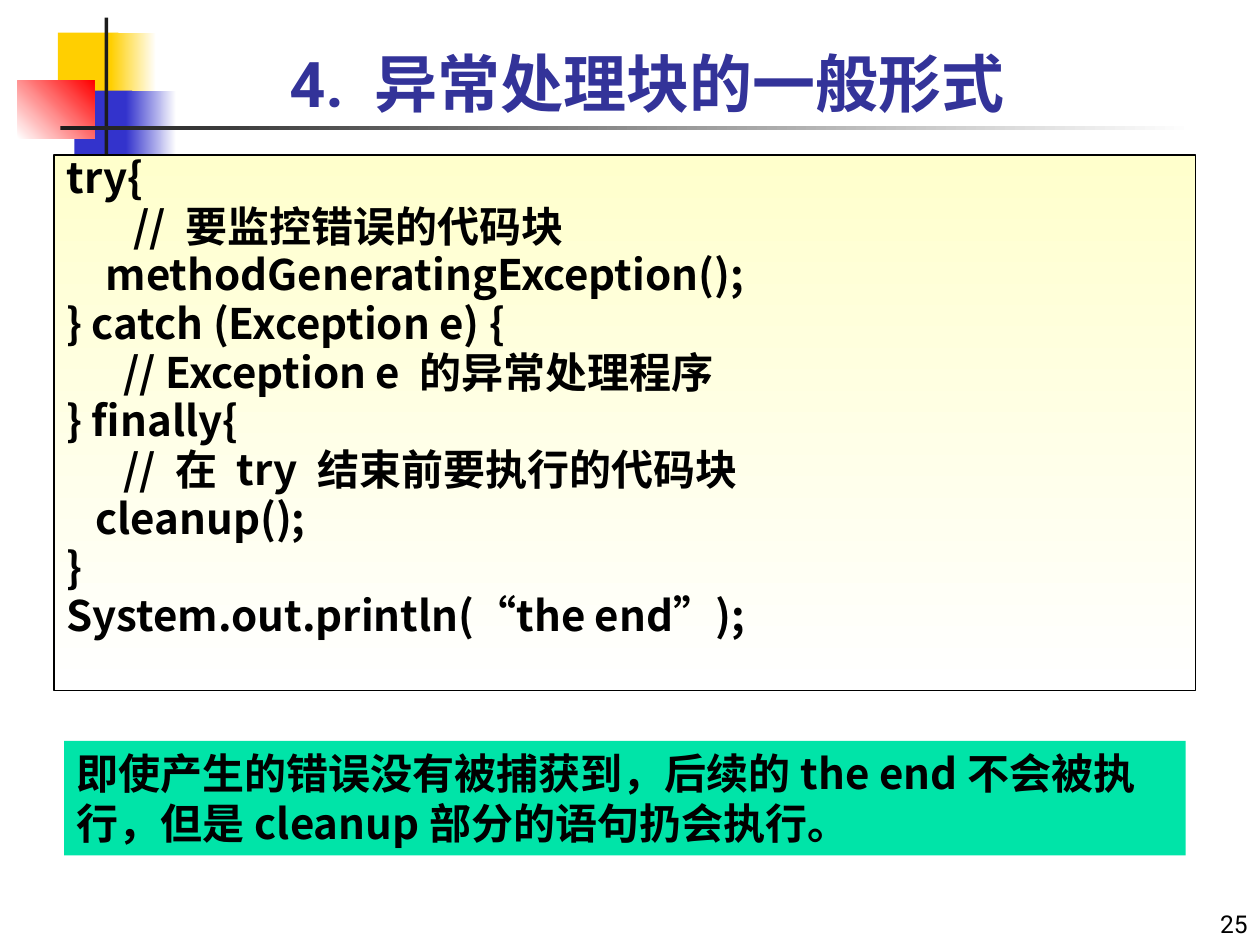
from dataclasses import dataclass
from typing import Optional

from lxml.etree import SubElement
from pptx import Presentation
from pptx.dml.color import RGBColor
from pptx.enum.shapes import MSO_SHAPE as Shape
from pptx.enum.text import MSO_ANCHOR as Anchor, PP_ALIGN as Align
from pptx.oxml.ns import qn
from pptx.util import Inches, Pt

CJK = "Noto Sans CJK SC"
LATIN = "Roboto"
WHITE, BLACK, GRAY, BLUE, GOLD = "FFFFFF", "000000", "1C1C1C", "3333CC", "FFCF01"


@dataclass
class Box:
    left: float
    top: float
    width: float
    height: float
    color: str
    end: Optional[str] = None
    angle: int = 0


@dataclass
class Line:
    text: str
    indent: float = 0


@dataclass
class Style:
    size: int
    font: str = CJK
    color: str = BLACK
    bold: bool = True
    align: Align = Align.LEFT
    anchor: Anchor = Anchor.TOP
    spacing: float = 1.0
    before: float = 0


DECOR = [
    Box(0.46, 0.26, 0.48, 0.52, GOLD),
    Box(0.88, 0.26, 0.36, 0.52, GOLD, WHITE),
    Box(0.59, 0.72, 0.46, 0.52, BLUE),
    Box(1, 0.72, 0.4, 0.52, BLUE, WHITE),
    Box(0.14, 0.64, 0.61, 0.46, WHITE, "FF0000", 45),
    Box(0.83, 0.14, 0.03, 1.15, GRAY),
    Box(0.48, 1, 9, 0.03, GRAY, WHITE),
]

CODE = [
    Line("try{"),
    Line("// 要监控错误的代码块", 0.53),
    Line("methodGeneratingException();", 0.31),
    Line("} catch (Exception e) {"),
    Line("// Exception e 的异常处理程序", 0.45),
    Line("} finally{"),
    Line("// 在 try 结束前要执行的代码块", 0.45),
    Line("cleanup();", 0.23),
    Line("}"),
    Line("System.out.println(“the end”);"),
]


def rgb(color: str) -> RGBColor:
    return RGBColor.from_string(color)


def add_box(s, box: Box):
    sp = s.shapes.add_shape(Shape.RECTANGLE, Inches(box.left), Inches(box.top),
                            Inches(box.width), Inches(box.height))
    sp.shadow.inherit = False
    sp.line.fill.background()
    if box.end is None:
        sp.fill.solid()
        sp.fill.fore_color.rgb = rgb(box.color)
    else:
        sp.fill.gradient()
        sp.fill.gradient_angle = box.angle
        for stop, color, position in zip(sp.fill.gradient_stops, (box.color, box.end), (0, 1)):
            stop.color.rgb = rgb(color)
            stop.position = position
    return sp


def add_text(s, left: float, top: float, width: float, height: float):
    return s.shapes.add_textbox(Inches(left), Inches(top), Inches(width), Inches(height))


def write(sp, lines: list[Line], style: Style) -> None:
    tf = sp.text_frame
    tf.word_wrap = True
    tf.vertical_anchor = style.anchor
    for i, line in enumerate(lines):
        p = tf.add_paragraph() if i else tf.paragraphs[0]
        p.text = line.text
        p.alignment = style.align
        p.line_spacing = style.spacing
        p.space_before = Pt(style.before)
        p.font.size = Pt(style.size)
        p.font.bold = style.bold
        p.font.color.rgb = rgb(style.color)
        p.font.name = style.font
        pPr = p._p.get_or_add_pPr()
        pPr.set("marL", str(Inches(line.indent)))
        SubElement(pPr.find(qn("a:defRPr")), qn("a:ea"), typeface=CJK)


def main() -> None:
    prs = Presentation()
    prs.slide_width, prs.slide_height = Inches(10), Inches(7.5)
    s = prs.slides.add_slide(prs.slide_layouts[6])

    for box in DECOR:
        add_box(s, box)

    number = add_text(s, 4.29, 7.14, 5.71, 0.36)
    write(number, [Line("25")],
          Style(14, LATIN, bold=False, align=Align.RIGHT, anchor=Anchor.BOTTOM))

    title = add_text(s, 0.51, 0.05, 9.25, 0.95)
    write(title, [Line("4. 异常处理块的一般形式")],
          Style(36, LATIN, "333399", align=Align.CENTER, anchor=Anchor.BOTTOM))

    code = add_box(s, Box(0.43, 1.23, 9.06, 4.25, "FFFFCC", WHITE, 270))
    code.line.color.rgb = rgb(BLACK)
    code.line.width = Pt(0.75)
    write(code, CODE, Style(24, spacing=0.8, before=4.8))

    note = add_box(s, Box(0.51, 5.88, 8.9, 0.91, "00E4A8"))
    write(note, [Line("即使产生的错误没有被捕获到，后续的the end不会被执行，但是cleanup部分的语句扔会执行。")],
          Style(24))

    prs.save("out.pptx")


if __name__ == "__main__":
    main()
